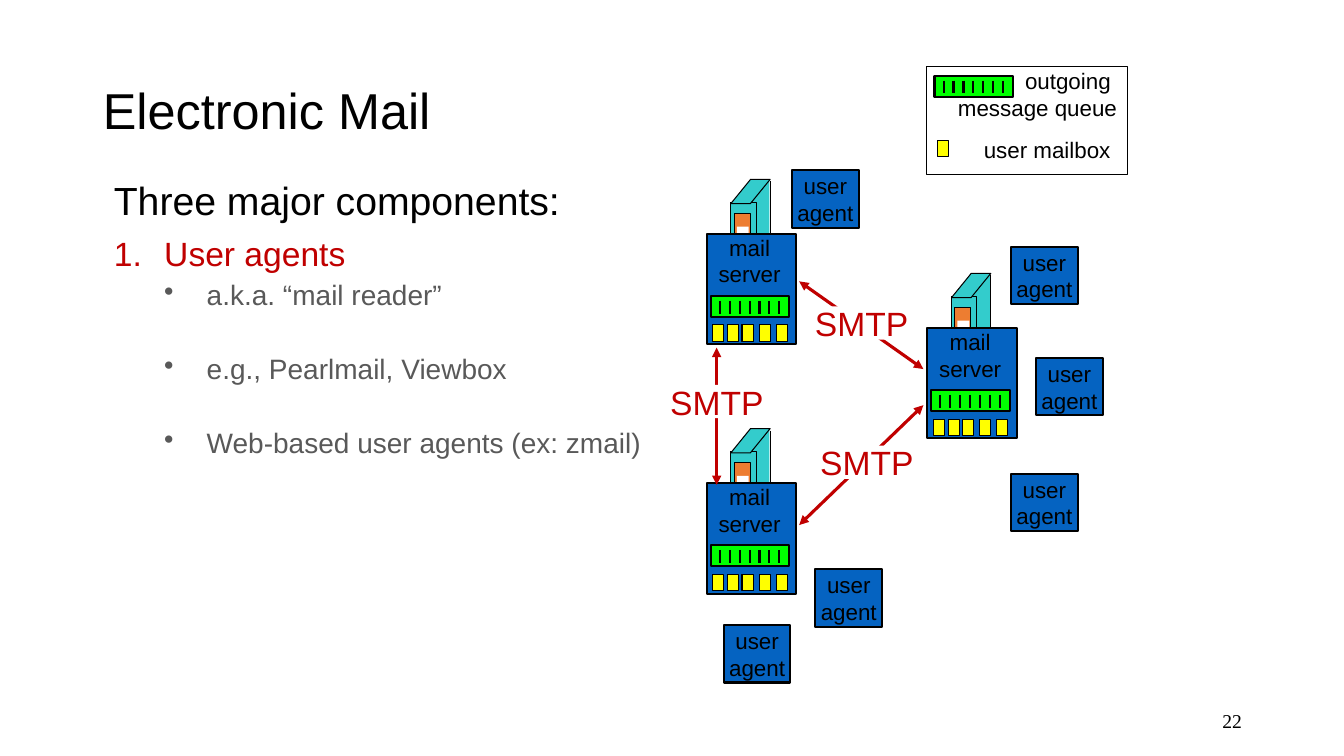
"""Build the Electronic Mail slide with its mail servers, user agents and SMTP links."""
from dataclasses import dataclass
from typing import Any, NamedTuple

from lxml import etree
from pptx import Presentation
from pptx.dml.color import RGBColor
from pptx.enum.shapes import MSO_CONNECTOR, MSO_SHAPE
from pptx.enum.text import MSO_ANCHOR, PP_ALIGN
from pptx.oxml.ns import qn
from pptx.util import Cm, Pt

RECTANGLE = MSO_SHAPE.RECTANGLE
PARALLELOGRAM = MSO_SHAPE.PARALLELOGRAM
STRAIGHT = MSO_CONNECTOR.STRAIGHT
TOP, MIDDLE = MSO_ANCHOR.TOP, MSO_ANCHOR.MIDDLE
LEFT, CENTER, RIGHT = PP_ALIGN.LEFT, PP_ALIGN.CENTER, PP_ALIGN.RIGHT

COLORS = {
    "black": "000000", "white": "FFFFFF", "red": "C00000", "gray": "595959",
    "blue": "0563C1", "green": "00FF00", "yellow": "FFFF00",
    "teal": "33CCCC", "orange": "ED7D31",
}
TIGHT = {"margin_left": 0, "margin_right": 0, "margin_top": 0, "margin_bottom": 0,
         "word_wrap": False, "vertical_anchor": MIDDLE}
SERVER_FRAME = TIGHT | {"margin_right": Cm(0.1), "vertical_anchor": TOP}
LOOSE = {"word_wrap": False, "vertical_anchor": TOP}
WRAPPED = {"word_wrap": True, "vertical_anchor": TOP}
CENTERED_WRAPPED = {"word_wrap": True, "vertical_anchor": MIDDLE}


class Box(NamedTuple):
    left: float
    top: float
    width: float
    height: float

    def moved(self, x: float, y: float) -> "Box":
        return Box(self.left + x, self.top + y, self.width, self.height)

    def lengths(self) -> list[Cm]:
        return [Cm(value) for value in self]


class Point(NamedTuple):
    x: float
    y: float


@dataclass
class TextLine:
    text: str
    size: float = 16
    color: str = "black"
    align: Any = CENTER
    font: str = "Arial"
    spacing: float = 1.0
    before: float = 0
    margin: float = 0
    hanging: float = 0
    level: int = 0
    bullet: tuple[str, str, str] | None = None


@dataclass
class Part:
    box: Box
    fill: str
    line: float = 0
    kind: Any = RECTANGLE


TOWER_PARTS = [
    Part(Box(1.12, -1.35, 0.46, 1.98), "teal"),
    Part(Box(0.61, -0.79, 0.64, 1.98), "teal", 0.75),
    Part(Box(0.61, -1.37, 0.99, 0.61), "teal", 0.75, PARALLELOGRAM),
    Part(Box(0.69, -0.51, 0.41, 1.14), "orange", 0.75),
    Part(Box(0.76, -0.18, 0.3, 0.41), "white"),
]
SERVERS = [Point(23.37, 8.26), Point(17.81, 12.17), Point(17.81, 5.89)]
MAILBOX_OFFSETS = [0.15, 0.53, 0.89, 1.32, 1.75]
AGENTS = [Point(25.48, 6.22), Point(26.11, 9.02), Point(25.48, 11.94),
          Point(20.55, 14.35), Point(18.24, 15.75), Point(19.96, 4.29)]
LINKS = [(Point(20.14, 7.09), Point(23.27, 9.3)),
         (Point(20.14, 13.23), Point(23.27, 10.21)),
         (Point(18.06, 12.22), Point(18.06, 8.76))]
LABELS = [Point(20.65, 11.23), Point(20.52, 7.72), Point(16.87, 9.7)]

NUMBERED = ("a:buAutoNum", "type", "arabicPeriod")
DOT = ("a:buChar", "char", "•")
HEADING = {"align": LEFT, "spacing": 0.9, "margin": 1.27, "hanging": 1.27}
DETAIL = {"size": 20, "color": "gray", "align": LEFT, "spacing": 0.9,
          "margin": 2.34, "hanging": 1.07, "level": 1, "bullet": DOT}
BODY_LINES = [
    TextLine("Three major components:", 28, **HEADING),
    TextLine("User agents", 24, "red", before=10, bullet=NUMBERED, **HEADING),
    TextLine("a.k.a. “mail reader”", before=5, **DETAIL),
    TextLine("e.g., Pearlmail, Viewbox", before=31.5, **DETAIL),
    TextLine("Web-based user agents (ex: zmail)", before=31.5, **DETAIL),
]


def apply_format(target: Any, values: dict[str, Any]) -> None:
    """Set every named attribute on the target."""
    for name, value in values.items():
        setattr(target, name, value)


def rgb(color: str) -> RGBColor:
    """Return a named colour."""
    return RGBColor.from_string(COLORS[color])


def write_text(shape: Any, lines: list[TextLine], frame_format: dict[str, Any]) -> None:
    """Fill a shape with formatted paragraphs."""
    frame = shape.text_frame
    apply_format(frame, frame_format)
    for index, line in enumerate(lines):
        paragraph = frame.add_paragraph() if index else frame.paragraphs[0]
        apply_format(paragraph, {"alignment": line.align, "line_spacing": line.spacing,
                                 "space_before": Pt(line.before), "level": line.level})
        properties = paragraph._p.get_or_add_pPr()
        properties.set("marL", str(Cm(line.margin)))
        properties.set("indent", str(-Cm(line.hanging)))
        if line.bullet:
            tag, attribute, value = line.bullet
            etree.SubElement(properties, qn(tag)).set(attribute, value)
        run = paragraph.add_run()
        run.text = line.text
        apply_format(run.font, {"name": line.font, "size": Pt(line.size)})
        run.font.color.rgb = rgb(line.color)


def add_text(slide: Any, box: Box, lines: list[TextLine], frame_format: dict[str, Any]) -> None:
    """Add a text box."""
    write_text(slide.shapes.add_textbox(*box.lengths()), lines, frame_format)


def add_part(slide: Any, part: Part, x: float = 0, y: float = 0) -> Any:
    """Add a preset shape moved by x and y."""
    shape = slide.shapes.add_shape(part.kind, *part.box.moved(x, y).lengths())
    shape.shadow.inherit = False
    if part.kind == PARALLELOGRAM:
        shape.adjustments[0] = 0.814
    if part.fill:
        shape.fill.solid()
        shape.fill.fore_color.rgb = rgb(part.fill)
    else:
        shape.fill.background()
    if part.line:
        shape.line.color.rgb = rgb("black")
        shape.line.width = Pt(part.line)
    else:
        shape.line.fill.background()
    return shape


def add_line(slide: Any, start: Point, end: Point, width: float,
             color: str = "black", arrows: bool = False) -> None:
    """Add a straight line, with arrowheads at both ends if asked."""
    ends = [Cm(value) for value in (*start, *end)]
    connector = slide.shapes.add_connector(STRAIGHT, *ends)
    connector.line.color.rgb = rgb(color)
    connector.line.width = Pt(width)
    if arrows:
        for tag in ("a:headEnd", "a:tailEnd"):
            etree.SubElement(connector.line._ln, qn(tag)).set("type", "triangle")
    etree.SubElement(connector._element.spPr, qn("a:effectLst"))


def add_queue(slide: Any, x: float, y: float) -> None:
    """Add an outgoing message queue with seven ticks."""
    add_part(slide, Part(Box(x, y, 1.98, 0.53), "green", 1.5))
    for index in range(7):
        tick = x + 0.23 + 0.25 * index
        add_line(slide, Point(tick, y + 0.12), Point(tick, y + 0.44), 1.5)


def add_mailbox(slide: Any, x: float, y: float) -> None:
    """Add a user mailbox."""
    add_part(slide, Part(Box(x, y, 0.28, 0.41), "yellow", 0.75))


def add_server(slide: Any, x: float, y: float) -> None:
    """Add a mail server with its tower, queue and mailboxes."""
    for part in TOWER_PARTS:
        add_part(slide, part, x, y)
    add_line(slide, Point(x + 1.6, y - 1.32), Point(x + 1.6, y + 0.64), 0.75)
    body = add_part(slide, Part(Box(x, y, 2.26, 2.79), "blue", 1.5))
    write_text(body, [TextLine("mail"), TextLine("server")], SERVER_FRAME)
    add_queue(slide, x + 0.1, y + 1.57)
    for offset in MAILBOX_OFFSETS:
        add_mailbox(slide, x + offset, y + 2.3)


def add_legend(slide: Any) -> None:
    """Add the key to the queue and mailbox symbols."""
    add_part(slide, Part(Box(23.34, 1.68, 5.08, 2.72), "", 0.75))
    add_text(slide, Box(24.46, 3.3, 3.86, 0.94), [TextLine("user mailbox")], LOOSE)
    add_queue(slide, 23.55, 1.91)
    add_mailbox(slide, 23.62, 3.53)
    add_text(slide, Box(23.83, 1.57, 4.57, 1.63),
             [TextLine("outgoing ", align=RIGHT), TextLine("message queue", align=RIGHT)], LOOSE)


def main() -> None:
    """Build and save the presentation."""
    presentation = Presentation()
    apply_format(presentation, {"slide_width": Cm(33.87), "slide_height": Cm(19.05)})
    slide = presentation.slides.add_slide(presentation.slide_layouts[5])
    title = slide.shapes.title
    apply_format(title, dict(zip(("left", "top", "width", "height"),
                                 Box(2.34, 1.02, 29.21, 3.68).lengths())))
    write_text(title, [TextLine("Electronic Mail", 36, align=LEFT, spacing=0.9)], CENTERED_WRAPPED)
    add_text(slide, Box(2.62, 4.45, 14.02, 12.9), BODY_LINES, WRAPPED)
    add_text(slide, Box(23.93, 17.65, 7.62, 1.02),
             [TextLine("22", 14, align=RIGHT, font="Times New Roman")], CENTERED_WRAPPED)
    add_legend(slide)
    for server in SERVERS:
        add_server(slide, *server)
    for agent in AGENTS:
        shape = add_part(slide, Part(Box(*agent, 1.68, 1.45), "blue", 1.5))
        write_text(shape, [TextLine("user"), TextLine("agent")], TIGHT)
    for start, end in LINKS:
        add_line(slide, start, end, 2.25, "red", arrows=True)
    for label in LABELS:
        shape = add_part(slide, Part(Box(*label, 2.39, 0.84), "white"))
        write_text(shape, [TextLine("SMTP", 24, "red")], TIGHT)
    presentation.save("out.pptx")


if __name__ == "__main__":
    main()
